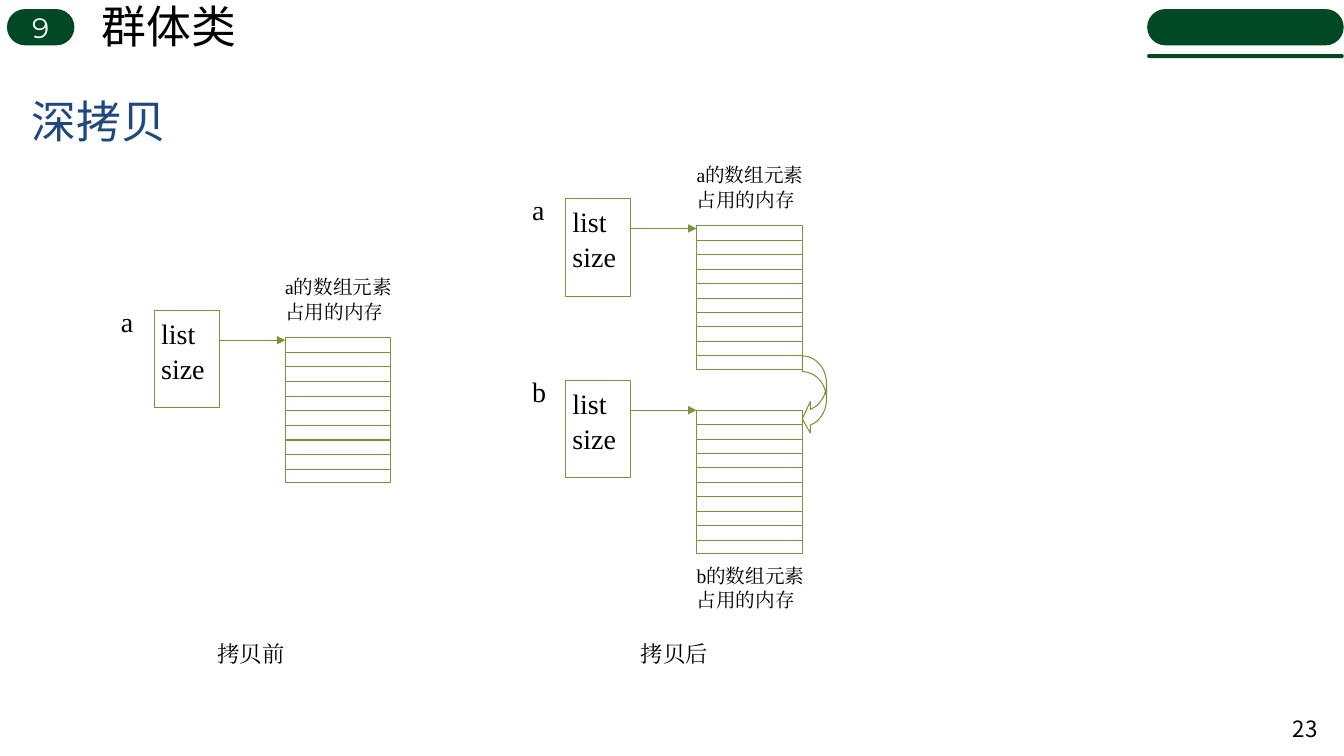
"""Build the deep copy slide: memory before and after the copy."""
from dataclasses import dataclass

import lxml.etree
import pptx
import pptx.dml.color
import pptx.enum.shapes
import pptx.enum.text
import pptx.oxml.ns
import pptx.util

Pt = pptx.util.Pt
Shape = pptx.enum.shapes.MSO_SHAPE
Align = pptx.enum.text.PP_ALIGN
Anchor = pptx.enum.text.MSO_ANCHOR
GREEN, LEAF, BLACK, WHITE, BLUE = "014924", "77933C", "000000", "FFFFFF", "1F497D"
SERIF = "Times New Roman"


@dataclass
class Array:
    name: str
    left: float
    top: float
    drop: float
    row: float
    note: float


@dataclass
class Bar:
    left: float
    top: float
    width: float
    height: float


ARRAYS = [
    Array("a", 110.1, 221.6, 19.6, 10.44, 195.8),
    Array("a", 403.9, 141.8, 19.5, 10.32, 115.9),
    Array("b", 403.9, 271.6, 21.4, 10.32, 401.8),
]
BARS = [Bar(5, 6.5, 48.2, 25.9), Bar(819.4, 6.5, 140.4, 25.9), Bar(819.4, 38.6, 140.4, 2.9)]


def color(code: str) -> pptx.dml.color.RGBColor:
    return pptx.dml.color.RGBColor.from_string(code)


def child(node, tag: str, **attrs: str) -> None:
    lxml.etree.SubElement(node, pptx.oxml.ns.qn(tag), **attrs)


def write(shape, text: str, *, size: float, font: str = SERIF, fill: str = BLACK,
          align=Align.JUSTIFY, anchor=Anchor.TOP, pad=(0, 0, 0, 0), wrap: bool = True,
          lead: float | None = None) -> None:
    frame = shape.text_frame
    frame.word_wrap = wrap
    frame.vertical_anchor = anchor
    frame.margin_left, frame.margin_top, frame.margin_right, frame.margin_bottom = map(Pt, pad)
    for index, line in enumerate(text.split("\n")):
        para = frame.add_paragraph() if index else frame.paragraphs[0]
        para.alignment = align
        para.line_spacing = lead
        run = para.add_run()
        run.text = line
        run.font.size = Pt(size)
        run.font.name = font
        run.font.color.rgb = color(fill)
        child(run.font._element, "a:ea", typeface=font)


def label(slide, text: str, left: float, top: float, width: float, height: float, **style):
    box = slide.shapes.add_textbox(Pt(left), Pt(top), Pt(width), Pt(height))
    write(box, text, **style)
    return box


def block(slide, kind, left: float, top: float, width: float, height: float,
          fill: str | None = None):
    shape = slide.shapes.add_shape(kind, Pt(left), Pt(top), Pt(width), Pt(height))
    shape.shadow.inherit = False
    if fill:
        shape.fill.solid()
        shape.fill.fore_color.rgb = color(fill)
        shape.line.fill.background()
    else:
        shape.fill.background()
        shape.line.color.rgb = color(LEAF)
        shape.line.width = Pt(0.75)
    return shape


def rule(slide, left: float, right: float, y: float, arrow: bool = False) -> None:
    line = slide.shapes.add_connector(
        pptx.enum.shapes.MSO_CONNECTOR.STRAIGHT, Pt(left), Pt(y), Pt(right), Pt(y))
    line.line.color.rgb = color(LEAF)
    line.line.width = Pt(0.75)
    if arrow:
        child(line.line._get_or_add_ln(), "a:tailEnd", type="triangle")
    child(line._element.spPr, "a:effectLst")


def draw(slide, item: Array) -> None:
    box = block(slide, Shape.RECTANGLE, item.left, item.top, 46.4, 69.8)
    write(box, "list\nsize", size=20, pad=(5, 3.6, 0, 3.6), lead=1.04)
    label(slide, item.name, item.left - 23.8, item.top - 4.3, 17.3, 20.2, size=20)
    left, top, width = item.left + 93.6, item.top + item.drop, 75.6
    block(slide, Shape.RECTANGLE, left, top, width, item.row * 9.93)
    for row in range(1, 10):
        rule(slide, left, left + width, top + row * item.row)
    label(slide, f"{item.name}的数组元素\n占用的内存", left, item.note, 80.6, 43.2,
          size=14, lead=1.04)
    rule(slide, item.left + 46.4, left, item.top + 21.4, arrow=True)


def main() -> None:
    deck = pptx.Presentation()
    deck.slide_width, deck.slide_height = Pt(960), Pt(540)
    slide = deck.slides.add_slide(deck.slide_layouts[6])
    pills = []
    for bar in BARS:
        pill = block(slide, Shape.ROUNDED_RECTANGLE, bar.left, bar.top, bar.width,
                     bar.height, fill=GREEN)
        pill.adjustments[0] = 0.5
        pills.append(pill)
    pad = (7.2, 3.6, 7.2, 3.6)
    write(pills[0], "9", size=20, font="Montserrat", fill=WHITE, align=Align.CENTER,
          anchor=Anchor.MIDDLE, pad=pad)
    head = label(slide, "群体类", 65.5, -4.3, 111.6, 46.1, size=32, font="Arial",
                 align=Align.LEFT, pad=pad, wrap=False)
    head.text_frame.auto_size = pptx.enum.text.MSO_AUTO_SIZE.SHAPE_TO_FIT_TEXT
    label(slide, "23", 913, 506.2, 35.3, 28.8, size=16, font="Noto Sans CJK SC",
          align=Align.RIGHT, anchor=Anchor.MIDDLE, pad=pad)
    label(slide, "深拷贝", 15.8, 54.7, 648, 63.4, size=32, font="Montserrat", fill=BLUE,
          align=Align.LEFT, anchor=Anchor.MIDDLE, pad=pad)
    for item in ARRAYS:
        draw(slide, item)
    for text, left in (("拷贝前", 121), ("拷贝后", 423.4)):
        label(slide, text, left, 457.2, 116.6, 23.8, size=16, align=Align.CENTER,
              pad=(7.2, 0, 7.2, 0))
    curve = block(slide, Shape.CURVED_LEFT_ARROW, 573.1, 254.2, 17.3, 56.2)
    for index, value in enumerate((0.65, 1.3, 0.33)):
        curve.adjustments[index] = value
    deck.save("out.pptx")


if __name__ == "__main__":
    main()
